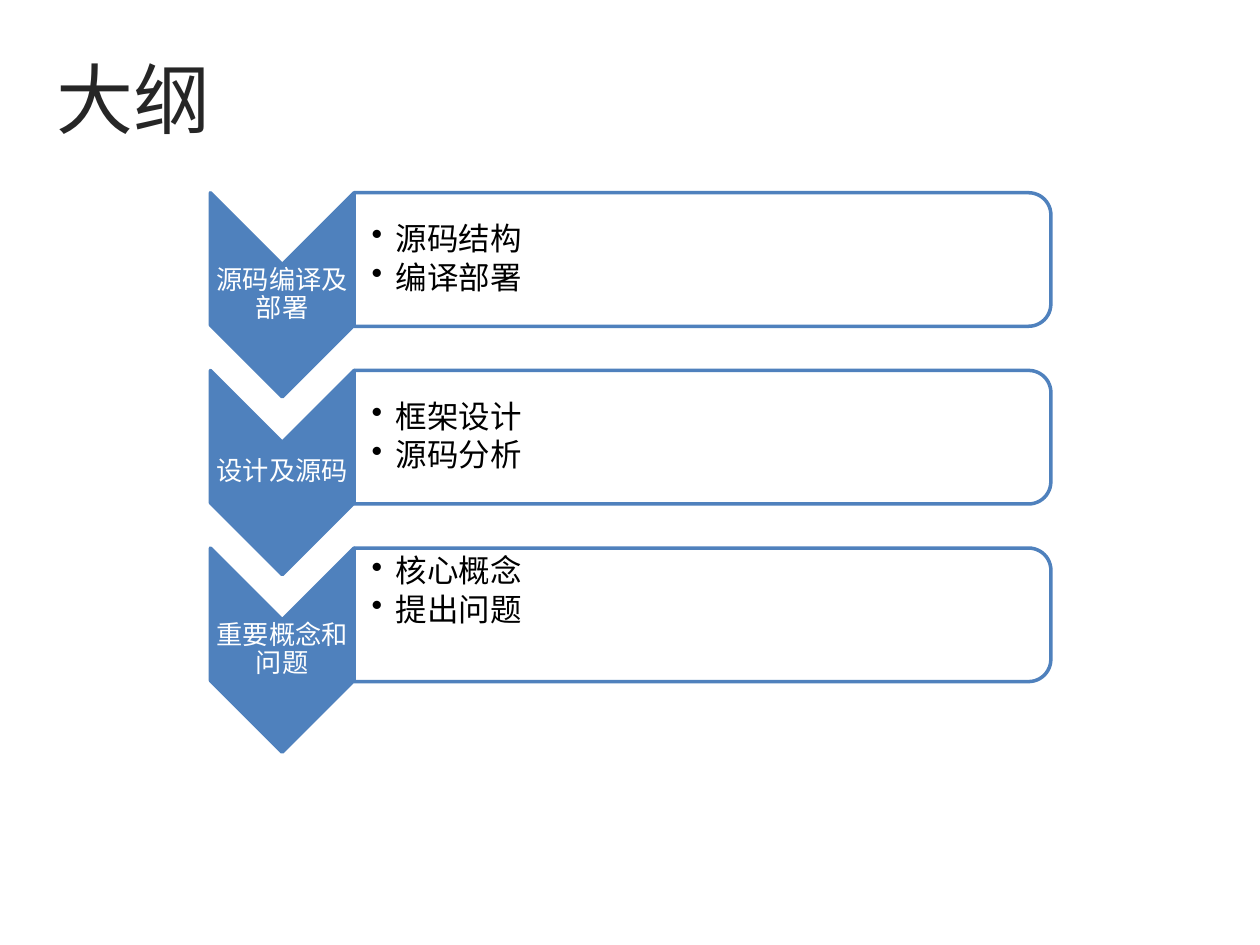
from pptx import Presentation
from pptx.dml.color import RGBColor
from pptx.enum.shapes import MSO_SHAPE as Shape
from pptx.enum.text import MSO_ANCHOR as Anchor, PP_ALIGN as Align
from pptx.oxml.ns import qn
from pptx.util import Inches, Pt
from lxml.etree import SubElement

BLUE, WHITE, BLACK, DARK = "4F81BD", "FFFFFF", "000000", "262626"
TITLE_FONT, BODY_FONT = "Noto Sans CJK SC", "Calibri"
LEFT, TOP, ROW_PITCH = 1.67, 1.53, 1.41
ARROW_W, ARROW_H = 1.14, 1.62
PANEL_W, PANEL_H = 5.53, 1.06
INDENT = 0.19

SECTIONS = [
    ("源码编译及部署", ["源码结构", "编译部署"], Anchor.MIDDLE),
    ("设计及源码", ["框架设计", "源码分析"], Anchor.MIDDLE),
    ("重要概念和问题", ["核心概念", "提出问题"], Anchor.TOP),
]


def color(hex_string):
    return RGBColor.from_string(hex_string)


def add_bullet(paragraph):
    props = paragraph._p.get_or_add_pPr()
    props.set("marL", str(Inches(INDENT)))
    props.set("indent", str(-Inches(INDENT)))
    SubElement(props, qn("a:buChar")).set("char", "•")


def add_text(slide, box, lines, size, ink, font=BODY_FONT, align=Align.LEFT,
             anchor=Anchor.MIDDLE, margins=None, spacing=None, after=0,
             bullets=False, wrap=True):
    frame = slide.shapes.add_textbox(*map(Inches, box)).text_frame
    frame.word_wrap = wrap
    frame.vertical_anchor = anchor
    if margins:
        (frame.margin_left, frame.margin_top,
         frame.margin_right, frame.margin_bottom) = map(Inches, margins)
    for index, line in enumerate(lines):
        paragraph = frame.add_paragraph() if index else frame.paragraphs[0]
        paragraph.alignment = align
        paragraph.line_spacing = spacing
        paragraph.space_after = Pt(after)
        if bullets:
            add_bullet(paragraph)
        run = paragraph.add_run()
        run.text = line
        run.font.size = Pt(size)
        run.font.name = font
        run.font.color.rgb = color(ink)
        SubElement(run._r.get_or_add_rPr(), qn("a:ea")).set("typeface", font)


def add_turned_shape(slide, preset, box, fill, opacity=100):
    """Add a shape turned by 90 degrees that covers the given box."""
    left, top, width, height = box
    shift = (width - height) / 2
    shape = slide.shapes.add_shape(
        preset, *map(Inches, (left + shift, top - shift, height, width)))
    shape.rotation = 90
    shape.shadow.inherit = False
    shape.fill.solid()
    shape.fill.fore_color.rgb = color(fill)
    if opacity < 100:
        tint = shape.fill._xPr.find(qn("a:solidFill"))[0]
        SubElement(tint, qn("a:alpha")).set("val", str(opacity * 1000))
    shape.line.color.rgb = color(BLUE)
    shape.line.width = Pt(2)


def add_section(slide, left, top, heading, points, anchor):
    """Place one chevron and its panel with their top left at the given point."""
    add_turned_shape(slide, Shape.CHEVRON, (left, top, ARROW_W, ARROW_H), BLUE)
    notch = ARROW_W / 2
    add_text(slide, (left, top + notch, ARROW_W, ARROW_H - 2 * notch), [heading],
             15, WHITE, align=Align.CENTER, margins=[0.01] * 4,
             spacing=0.9, after=5.25)

    panel_left = left + ARROW_W
    add_turned_shape(slide, Shape.ROUND_2_SAME_RECTANGLE,
                     (panel_left, top, PANEL_W, PANEL_H), WHITE, opacity=90)
    inset = 0.05
    add_text(slide, (panel_left, top + inset, PANEL_W - inset, PANEL_H - 2 * inset),
             points, 18, BLACK, anchor=anchor, margins=(0.14, 0.01, 0.01, 0.01),
             spacing=0.9, after=2.7, bullets=True)


def main():
    deck = Presentation()
    deck.slide_width, deck.slide_height = Inches(10), Inches(7.5)
    slide = deck.slides.add_slide(deck.slide_layouts[6])
    add_text(slide, (0.35, 0.36, 1.44, 0.84), ["大纲"], 44, DARK,
             font=TITLE_FONT, anchor=Anchor.TOP, wrap=False)
    for row, section in enumerate(SECTIONS):
        add_section(slide, LEFT, TOP + row * ROW_PITCH, *section)
    deck.save("out.pptx")


if __name__ == "__main__":
    main()
